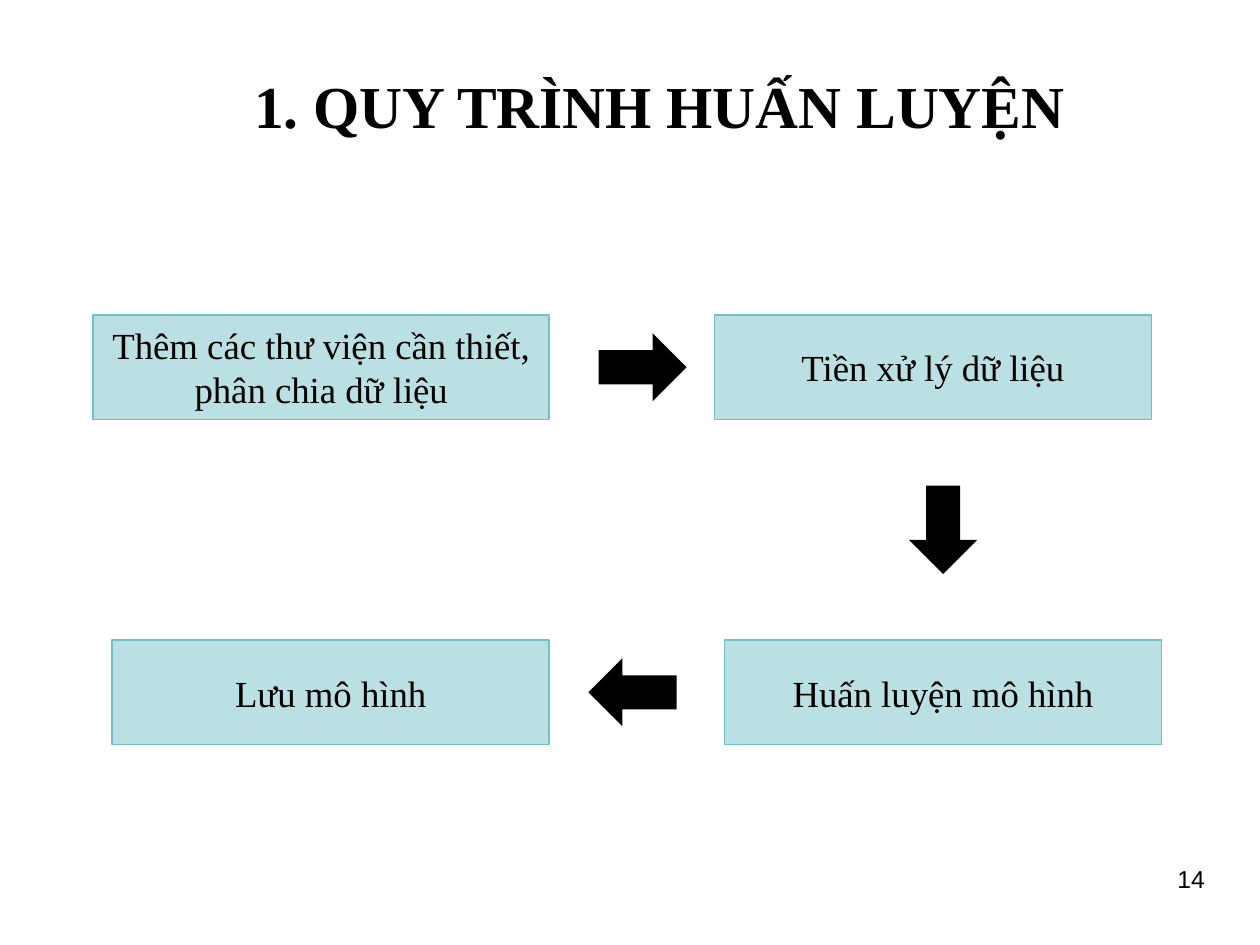
import pptx
import pptx.dml.color
import pptx.enum.shapes
import pptx.enum.text
import pptx.util
from pptx.util import Inches

SHAPE = pptx.enum.shapes.MSO_SHAPE
ANCHOR = pptx.enum.text.MSO_ANCHOR
ALIGN = pptx.enum.text.PP_ALIGN
SERIF = "Times New Roman"
STEP_W, STEP_H = 3.47, 0.83
ARROW_W, ARROW_H = 0.54, 0.7


def color(value):
    return pptx.dml.color.RGBColor.from_string(value)


def write(tf, text, size, align, anchor, name=SERIF, bold=False):
    tf.word_wrap = True
    tf.vertical_anchor = anchor
    p = tf.paragraphs[0]
    p.alignment = align
    r = p.add_run()
    r.text = text
    style = {"name": name, "size": pptx.util.Pt(size), "bold": bold}
    for key, value in style.items():
        setattr(r.font, key, value)
    r.font.color.rgb = color("000000")


def add_label(s, box, text, size, align, **style):
    sp = s.shapes.add_textbox(*map(Inches, box))
    write(sp.text_frame, text, size, align, ANCHOR.TOP, **style)


def add_filled(s, kind, box, fill):
    sp = s.shapes.add_shape(kind, *map(Inches, box))
    sp.shadow.inherit = False
    sp.fill.solid()
    sp.fill.fore_color.rgb = color(fill)
    return sp


def add_step(s, box, text):
    sp = add_filled(s, SHAPE.RECTANGLE, box, "BBE0E3")
    sp.line.color.rgb = color("72BFC5")
    sp.line.width = pptx.util.Pt(1)
    write(sp.text_frame, text, 21, ALIGN.CENTER, ANCHOR.MIDDLE)


def add_arrow(s, center_x, center_y, rotation):
    box = (center_x - ARROW_W / 2, center_y - ARROW_H / 2, ARROW_W, ARROW_H)
    sp = add_filled(s, SHAPE.UP_ARROW, box, "000000")
    sp.line.fill.background()
    sp.rotation = rotation


def add_process(s, box):
    left, top, width, height = box
    lower = top + height - STEP_H
    right = left + width - STEP_W
    steps = [
        (left, top, 3.62, "Thêm các thư viện cần thiết, phân chia dữ liệu"),
        (right - 0.08, top, STEP_W, "Tiền xử lý dữ liệu"),
        (right, lower, STEP_W, "Huấn luyện mô hình"),
        (left + 0.15, lower, STEP_W, "Lưu mô hình"),
    ]
    for x, y, w, text in steps:
        add_step(s, (x, y, w, STEP_H), text)

    add_arrow(s, left + 4.36, top + STEP_H / 2, 90)
    add_arrow(s, left + 4.28, lower + STEP_H / 2, 270)
    add_arrow(s, right + STEP_W / 2, top + height / 2, 180)


def main():
    prs = pptx.Presentation()
    prs.slide_width, prs.slide_height = Inches(10), Inches(7.5)
    s = prs.slides.add_slide(prs.slide_layouts[6])
    add_label(s, (1.92, 0.5, 8, 0.67), "1. QUY TRÌNH HUẤN LUYỆN", 34, ALIGN.LEFT, bold=True)
    add_process(s, (0.74, 2.5, 8.48, 3.41))
    add_label(s, (7.33, 6.81, 2.33, 0.61), "14", 14, ALIGN.RIGHT, name="Arial")
    prs.save("out.pptx")


if __name__ == "__main__":
    main()
